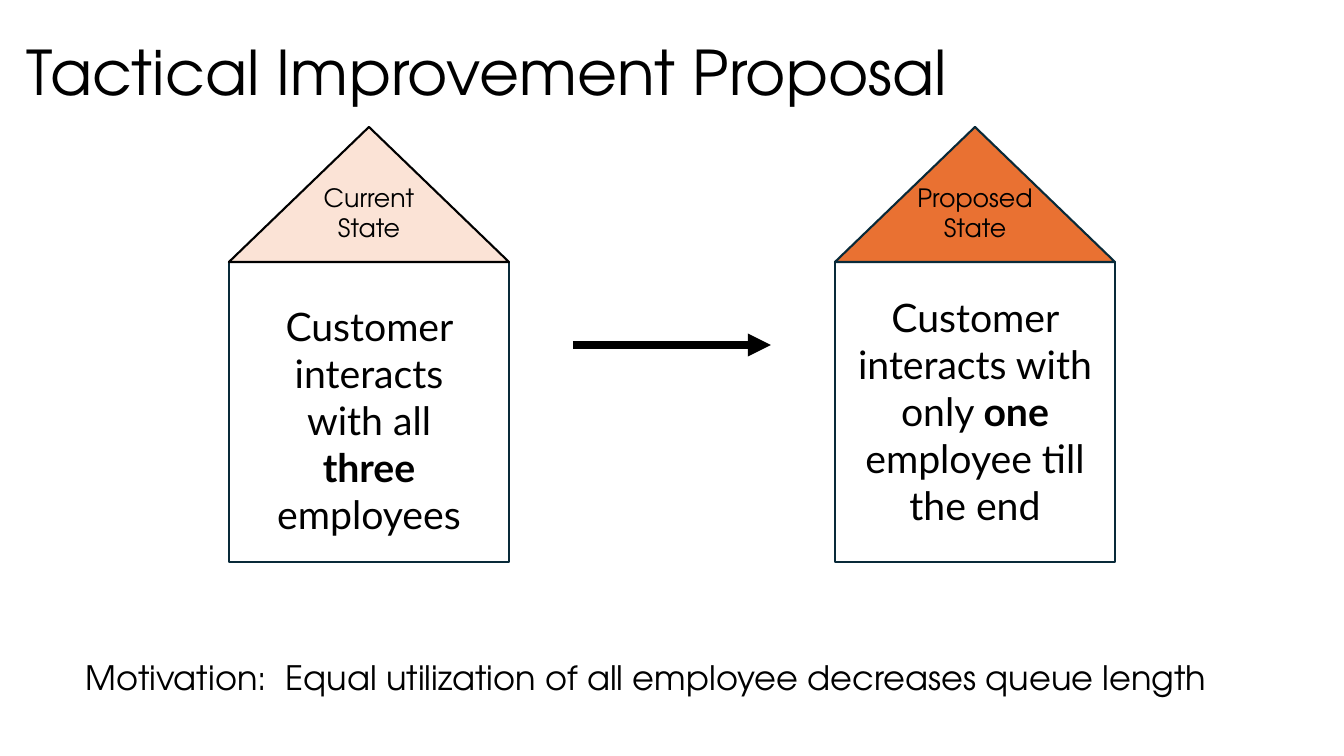
import pptx
import pptx.util
import pptx.dml.color
import pptx.enum.shapes
import pptx.enum.text
import pptx.oxml.ns
import lxml.etree

SCALE = 914400 / 100.8  # EMU in one px
HUES = {"ink": "000000", "edge": "092A39", "peach": "FBE3D6", "orange": "E97132"}
HEAD, BODY = "TeX Gyre Adventor", "Lato"
SHAPE = pptx.enum.shapes.MSO_SHAPE
ALIGN = pptx.enum.text.PP_ALIGN
MID = pptx.enum.text.MSO_ANCHOR.MIDDLE
TOP = pptx.enum.text.MSO_ANCHOR.TOP


def px(num):
    return pptx.util.Emu(round(num * SCALE))


def hue(name):
    return pptx.dml.color.RGBColor.from_string(HUES[name])


def apply(item, form):
    for key, value in form.items():
        setattr(item, key, value)


def write(frame, parts, font, size, align, anchor=TOP, **para):
    """Fill a frame with one paragraph of (text, bold) parts."""
    apply(frame, {"word_wrap": True, "vertical_anchor": anchor})
    line = frame.paragraphs[0]
    apply(line, {"alignment": align, **para})
    for text, bold in parts:
        run = line.add_run()
        run.text = text
        apply(run.font, {"name": font, "size": pptx.util.Pt(size), "bold": bold})
        run.font.color.rgb = hue("ink")


def label(slide, area, *style, **para):
    box = slide.shapes.add_textbox(*map(px, area))
    write(box.text_frame, *style, **para)


def block(slide, kind, area, edge, fill=None):
    shape = slide.shapes.add_shape(kind, *map(px, area))
    shape.shadow.inherit = False
    if fill:
        shape.fill.solid()
        shape.fill.fore_color.rgb = hue(fill)
    else:
        shape.fill.background()
    shape.line.color.rgb = hue(edge)
    shape.line.width = pptx.util.Pt(1.5)
    return shape


def house(slide, left, name, fill, edge, area, parts):
    # Wall, roof with its name, then the text on the wall
    block(slide, SHAPE.RECTANGLE, (left, 262, 280, 300), "edge")
    roof = block(slide, SHAPE.ISOSCELES_TRIANGLE, (left, 127, 280, 135), edge, fill)
    roof.text_frame.margin_bottom = px(36)
    write(roof.text_frame, [(name, False)], HEAD, 18, ALIGN.CENTER, MID)
    label(slide, area, parts, BODY, 28, ALIGN.CENTER)


def arrow(slide, start, end, level):
    line = slide.shapes.add_connector(
        pptx.enum.shapes.MSO_CONNECTOR.STRAIGHT, *map(px, (start, level, end, level)))
    line.line.color.rgb = hue("ink")
    line.line.width = pptx.util.Pt(5.5)
    tag = pptx.oxml.ns.qn
    lxml.etree.SubElement(line.line._get_or_add_ln(), tag("a:tailEnd"), type="triangle")
    lxml.etree.SubElement(line._element.spPr, tag("a:effectLst"))


def main():
    deck = pptx.Presentation()
    apply(deck, {"slide_width": px(1344), "slide_height": px(756)})
    slide = deck.slides.add_slide(deck.slide_layouts[6])

    # Title
    label(slide, (17, 2, 1159, 148), [("Tactical Improvement Proposal", False)],
          HEAD, 44, ALIGN.LEFT, MID, line_spacing=0.9)

    # Both states and the step between them
    house(slide, 229, "Current State", "peach", "ink", (246, 297, 246, 201),
          [("Customer interacts with all ", False), ("three", True),
           (" employees", False)])
    house(slide, 835, "Proposed State", "orange", "edge", (835, 288, 280, 248),
          [("Customer interacts with only ", False), ("one", True),
           (" employee till the end", False)])
    arrow(slide, 573, 771, 345)

    # Reason
    label(slide, (76, 652, 1159, 50),
          [("Motivation:  Equal utilization of all employee decreases queue length",
            False)], HEAD, 24, ALIGN.LEFT)

    deck.save("out.pptx")


if __name__ == "__main__":
    main()
